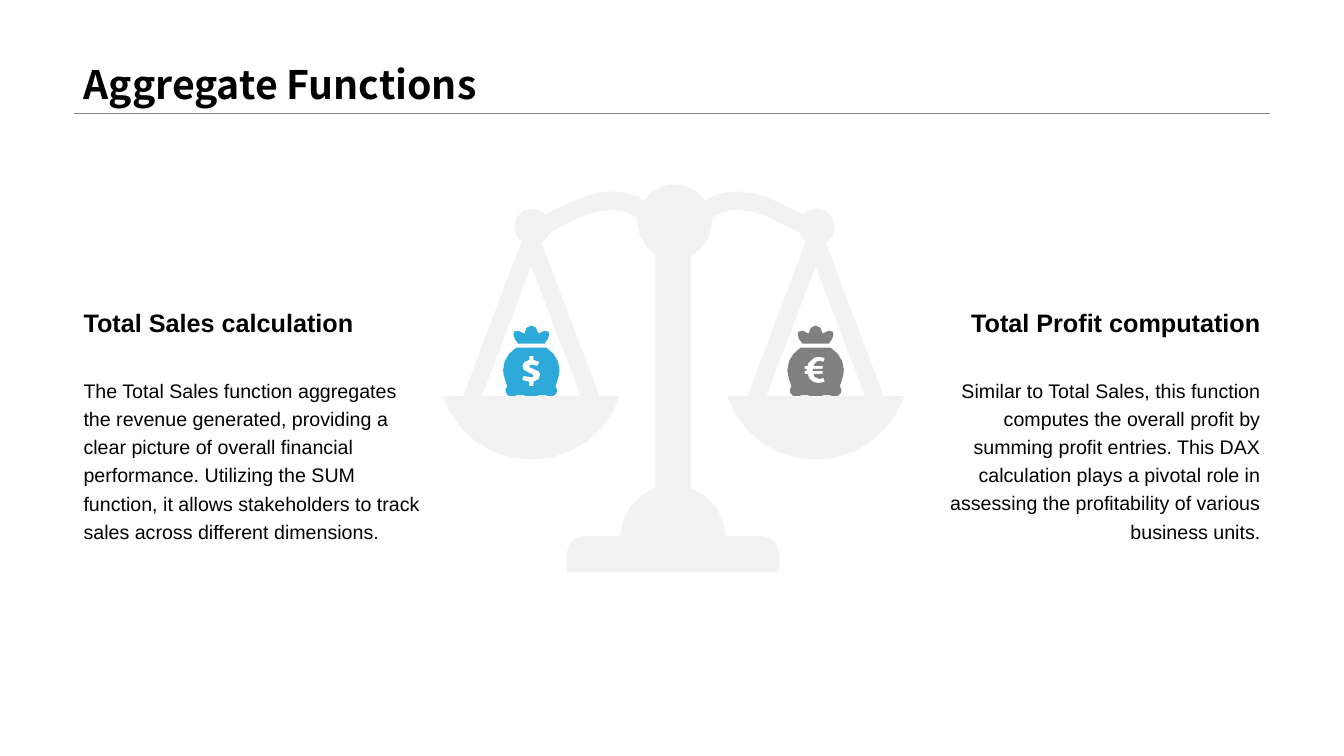
from dataclasses import dataclass
from math import ceil, hypot, sqrt
from lxml.etree import SubElement
from pptx import Presentation
from pptx.dml.color import RGBColor
from pptx.enum.shapes import MSO_CONNECTOR
from pptx.enum.text import MSO_ANCHOR, MSO_AUTO_SIZE, PP_ALIGN
from pptx.oxml.ns import qn
from pptx.util import Inches, Pt

GRID = Inches(0.01)
COLUMNS, ROWS = 1333, 750
MARGIN, CONTENT_COLUMNS, TEXT_COLUMNS = 73, 1187, 358
TITLE_ROWS = 112
BLACK, BLUE, GREY, PALE = "000000", "2EAADA", "808080", "F2F2F2"

Point = tuple[float, float]
Step = tuple[float, ...]


@dataclass(frozen=True)
class Outline:
    steps: tuple[Step, ...]
    mirrored: bool = True


@dataclass(frozen=True)
class Figure:
    axis: float
    outlines: tuple[Outline, ...]
    colour: str = PALE


@dataclass(frozen=True)
class TextBlock:
    text: str
    column: int
    row: int
    rows: int
    size: int
    align: PP_ALIGN
    bold: bool = False
    spacing: float = 1.0
    anchor: MSO_ANCHOR = MSO_ANCHOR.TOP


BAG_BODY = Outline((
    (0, 345), (15, 345), (23, 350, 28, 358, 28, 367), (28, 370, 27, 374, 26, 377),
    (24, 383), (26, 386, 26, 388, 25, 390), (23, 394, 18, 395, 14, 392),
    (8, 392), (5, 393, 3, 394, 0, 394),
))
BAG_TOP = Outline((
    (0, 323), (4, 323, 6, 326, 7, 331), (11, 328, 15, 327, 17, 329),
    (19, 331, 17, 337, 13, 341), (0, 341),
))
DOLLAR = Outline((
    (-2, 353), (-2, 357), (-6, 358, -9, 360, -9, 363), (-9, 367, -7, 368, -2, 370),
    (2, 371, 2, 372, 2, 373), (2, 374, 1, 374, -1, 374), (-8, 373),
    (-9, 377), (-2, 379), (-2, 383), (2, 383), (2, 379),
    (6, 378, 9, 375, 9, 372), (9, 369, 7, 367, 2, 366), (-1, 365, -2, 364, -2, 363),
    (-2, 362, 0, 362, 1, 362), (6, 363), (8, 359), (2, 357), (2, 353),
), mirrored=False)
EURO = Outline((
    (3, 354), (0, 354, -3, 355, -5, 358), (-7, 359, -8, 361, -8, 363), (-11, 363),
    (-11, 366), (-9, 366), (-9, 368), (-11, 368), (-11, 371), (-8, 371),
    (-8, 373, -7, 375, -6, 376), (-4, 379, 0, 380, 3, 380), (9, 379),
    (8, 375), (4, 376), (2, 376, 0, 375, -1, 374), (-2, 371), (7, 371), (7, 368),
    (-3, 368), (-3, 366), (7, 366), (7, 363), (-2, 363), (-1, 361),
    (0, 359, 2, 358, 4, 358), (8, 359), (9, 355), (3, 354),
), mirrored=False)
PAN = Outline((
    (0, 230.5), (4, 230.5, 7, 232, 8, 235), (67.5, 393), (88, 393),
    (75, 430, 41, 456, 0, 456),
))
PAN_OPENING = Outline(((0, 264), (49, 393), (0, 393)))
STAND = Outline((
    (0, 235), (17.5, 235), (17.5, 484), (37.5, 491, 51.5, 510, 52.5, 532), (88.5, 532),
    (98, 532, 105.5, 540, 105.5, 549), (105.5, 567), (0, 567),
))
BEAM = Outline((
    (0, 183), (13, 183, 24, 189, 30, 199), (38, 194, 48, 190, 62, 190),
    (82, 190, 99, 199, 114, 206), (128, 213),
    (132, 210, 136, 207, 141, 207), (151, 207, 159, 215, 159, 225),
    (159, 235, 151, 243, 141, 243), (133, 243, 126, 238, 124, 231),
    (107, 222), (93, 215, 78, 208, 62, 208),
    (51, 208, 43, 212, 37, 216), (37, 220),
    (37, 239, 23, 255, 5, 257), (0, 257),
))

LEFT_PAN, RIGHT_PAN = 527, 809
FIGURES = (
    Figure(LEFT_PAN, (DOLLAR, BAG_BODY, BAG_TOP), BLUE),
    Figure(RIGHT_PAN, (EURO, BAG_BODY, BAG_TOP), GREY),
    Figure(RIGHT_PAN, (PAN, PAN_OPENING)),
    Figure(LEFT_PAN, (PAN, PAN_OPENING)),
    Figure(667.5, (STAND,)),
    Figure(669, (BEAM,)),
)
SIDES = (
    (MARGIN, PP_ALIGN.LEFT, "Total Sales calculation", 152,
     "The Total Sales function aggregates the revenue generated, providing a clear picture of "
     "overall financial performance. Utilizing the SUM function, it allows stakeholders to "
     "track sales across different dimensions."),
    (MARGIN + CONTENT_COLUMNS - TEXT_COLUMNS, PP_ALIGN.RIGHT, "Total Profit computation", 123,
     "Similar to Total Sales, this function computes the overall profit by summing profit "
     "entries. This DAX calculation plays a pivotal role in assessing the profitability of "
     "various business units."),
)


def colour(value: str) -> RGBColor:
    return RGBColor.from_string(value)


def bend(first: Point, middle: Point, last: Point) -> float:
    return hypot(*(a - 2 * b + c for a, b, c in zip(first, middle, last)))


def curve_points(start: Point, step: Step) -> list[Point]:
    corners = (start, step[0:2], step[2:4], step[4:6])
    pieces = max(1, ceil(sqrt(max(bend(*corners[:3]), bend(*corners[1:])))))
    points = []
    for index in range(1, pieces + 1):
        share = index / pieces
        rest = 1 - share
        weights = (rest**3, 3 * rest**2 * share, 3 * rest * share**2, share**3)
        points.append(tuple(
            sum(weight * corner[side] for weight, corner in zip(weights, corners))
            for side in (0, 1)
        ))
    return points


def outline_points(outline: Outline, axis: float) -> list[Point]:
    points = [outline.steps[0]]
    for step in outline.steps[1:]:
        points += [step] if len(step) == 2 else curve_points(points[-1], step)
    if outline.mirrored:
        points += [(-x, y) for x, y in reversed(points) if x]
    return [((axis + x) * GRID, y * GRID) for x, y in points]


def draw_figure(page, figure: Figure) -> None:
    contours = [outline_points(outline, figure.axis) for outline in figure.outlines]
    builder = page.shapes.build_freeform(*contours[0][0])
    for index, points in enumerate(contours):
        if index:
            builder.move_to(*points[0])
        builder.add_line_segments(points[1:], close=True)
    shape = builder.convert_to_shape()
    shape.shadow.inherit = False
    shape.fill.solid()
    shape.fill.fore_color.rgb = colour(figure.colour)
    shape.line.fill.background()


def write(box, block: TextBlock, font_name: str) -> None:
    frame = box.text_frame
    frame.word_wrap = True
    frame.vertical_anchor = block.anchor
    para = frame.paragraphs[0]
    para.text = block.text
    para.alignment = block.align
    para.line_spacing = block.spacing
    para.font.name = font_name
    para.font.size = Pt(block.size)
    para.font.bold = block.bold
    para.font.color.rgb = colour(BLACK)


def draw_text(page, block: TextBlock) -> None:
    box = page.shapes.add_textbox(
        block.column * GRID, block.row * GRID, TEXT_COLUMNS * GRID, block.rows * GRID)
    write(box, block, "Arial")
    box.text_frame.auto_size = MSO_AUTO_SIZE.SHAPE_TO_FIT_TEXT


def draw_title(page) -> None:
    title = page.shapes.title
    title.left, title.top = MARGIN * GRID, 0
    title.width, title.height = CONTENT_COLUMNS * GRID, TITLE_ROWS * GRID
    write(title, TextBlock("Aggregate Functions", MARGIN, 0, TITLE_ROWS, 28, PP_ALIGN.LEFT,
                           True, 0.9, MSO_ANCHOR.BOTTOM), "Noto Sans CJK SC")
    rule = page.shapes.add_connector(
        MSO_CONNECTOR.STRAIGHT, MARGIN * GRID, TITLE_ROWS * GRID,
        (MARGIN + CONTENT_COLUMNS) * GRID, TITLE_ROWS * GRID)
    rule.line.color.rgb = colour(GREY)
    rule.line.width = Pt(0.25)
    SubElement(rule.element.spPr, qn("a:effectLst"))


def main() -> None:
    deck = Presentation()
    deck.slide_width, deck.slide_height = COLUMNS * GRID, ROWS * GRID
    page = deck.slides.add_slide(deck.slide_layouts[5])
    draw_title(page)
    for figure in FIGURES:
        draw_figure(page, figure)
    for column, align, heading, rows, body in SIDES:
        draw_text(page, TextBlock(body, column, 366, rows, 14, align, spacing=1.2))
        draw_text(page, TextBlock(heading, column, 300, 40, 18, align, True,
                                  anchor=MSO_ANCHOR.BOTTOM))
    deck.save("out.pptx")


if __name__ == "__main__":
    main()
